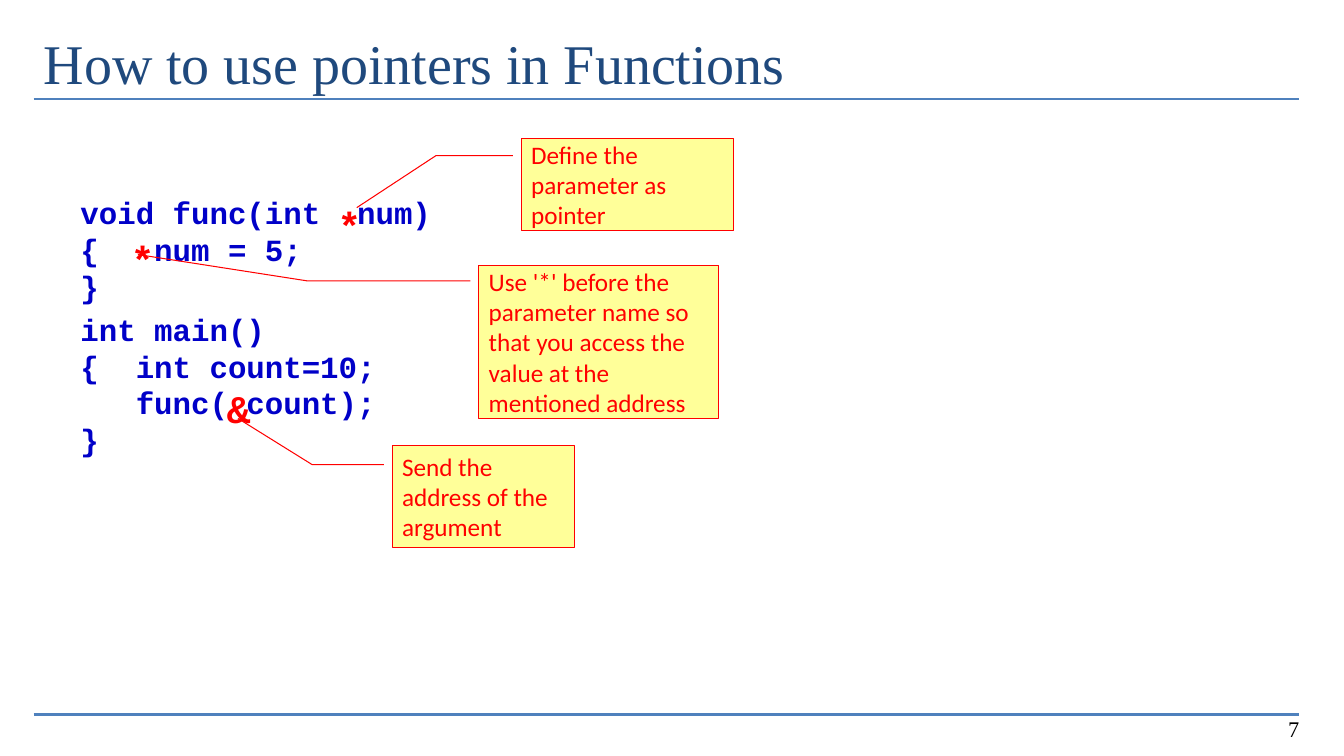
"""Build a slide on passing pointers to C functions."""
import pptx
import pptx.dml.color
import pptx.enum.shapes
import pptx.enum.text
import pptx.oxml
import pptx.oxml.ns
import pptx.util

Pt = pptx.util.Pt
ALIGN = pptx.enum.text.PP_ALIGN
ANCHOR = pptx.enum.text.MSO_ANCHOR
RED = "FF0000"

CODE = [
    "void func(int  num)",
    "{   num = 5;",
    "}",
    "int main()",
    "{  int count=10;",
    "   func( count);",
    "}",
]

CALLOUTS = [
    ("Define the parameter as pointer", (372.24, 98.64, 151.92, 66.24),
     (0.188, -0.039, 0.188, -0.4, 0.75, -0.773), "*", (241.2, 144)),
    ("Use '*' before the parameter name so that you access the value at the mentioned address",
     (342, 189.36, 171.36, 109.44),
     (0.103, -0.035, 0.103, -0.716, -0.069, -1.421), "*", (93.6, 168.4)),
    ("Send the address of the argument", (280.08, 318.24, 130.32, 72.72),
     (0.188, -0.046, 0.188, -0.438, -0.266, -0.845), "&", (162, 274.3)),
]


def rgb(value):
    """Return the colour for a hex string."""
    return pptx.dml.color.RGBColor.from_string(value)


def write(tf, text, *, font, size, color, bold=False, align=ALIGN.LEFT,
          anchor=ANCHOR.TOP, margins=(7.2, 3.6, 7.2, 3.6), pitch=None, gaps=()):
    """Fill a text frame, one paragraph a line; gaps maps lines to space before."""
    tf.word_wrap = True
    tf.auto_size = pptx.enum.text.MSO_AUTO_SIZE.NONE
    tf.vertical_anchor = anchor
    tf.margin_left, tf.margin_top, tf.margin_right, tf.margin_bottom = map(Pt, margins)
    for i, line in enumerate(text.split("\n")):
        p = tf.add_paragraph() if i else tf.paragraphs[0]
        p.alignment = align
        if pitch:
            p.line_spacing = Pt(pitch)
        if i in gaps:
            p.space_before = Pt(gaps[i])
        r = p.add_run()
        r.text = line
        r.font.name, r.font.size, r.font.bold = font, Pt(size), bold
        r.font.color.rgb = rgb(color)


def add_text(shapes, box, text, **fmt):
    """Add a text box."""
    write(shapes.add_textbox(*map(Pt, box)).text_frame, text, **fmt)


def add_rule(shapes, y):
    """Add a horizontal rule across the slide."""
    line = shapes.add_connector(pptx.enum.shapes.MSO_CONNECTOR.STRAIGHT,
                                Pt(24), Pt(y), Pt(928), Pt(y))
    line.line.color.rgb = rgb("4F81BD")
    line.line.width = Pt(1.5)
    sp_pr = line._element.spPr
    sp_pr.append(pptx.oxml.parse_xml(f"<a:effectLst {pptx.oxml.ns.nsdecls('a')}/>"))


def add_callout(shapes, text, box, leader, mark, mark_at):
    """Add a grouped callout and the code symbol that it explains."""
    group = shapes.add_group_shape().shapes
    sp = group.add_shape(pptx.enum.shapes.MSO_SHAPE.LINE_CALLOUT_2, *map(Pt, box))
    for i, value in enumerate(leader):
        sp.adjustments[i] = value
    sp.shadow.inherit = False
    sp.fill.solid()
    sp.fill.fore_color.rgb = rgb("FFFF99")
    sp.line.color.rgb = rgb(RED)
    sp.line.width = Pt(0.75)
    write(sp.text_frame, text, font="Calibri", size=18, color=RED, anchor=ANCHOR.MIDDLE)
    add_text(group, (*mark_at, 16.9, 33.8), mark, font="Courier New", size=28,
             color=RED, bold=True, margins=(0, 0, 0, 0))


def main():
    """Build and save the slide."""
    prs = pptx.Presentation()
    prs.slide_width, prs.slide_height = Pt(960), Pt(540)
    slide = prs.slides.add_slide(prs.slide_layouts[5])
    shapes = slide.shapes

    title = shapes.title
    title.left, title.top, title.width, title.height = map(Pt, (24, 12.24, 904.32, 84.24))
    write(title.text_frame, "How to use pointers in Functions", font="Times New Roman",
          size=40, color="1F497D", margins=(7.2, 7.8, 7.2, 3.6))

    for y in (70.8, 510.4):
        add_rule(shapes, y)
    add_text(shapes, (50.4, 135.3, 290, 205), "\n".join(CODE), font="Courier New",
             size=22, color="0000C8", bold=True, pitch=26.2, gaps={3: 4.8})
    for callout in CALLOUTS:
        add_callout(shapes, *callout)
    add_text(shapes, (711.36, 497.52, 223.92, 36), "7", font="Times New Roman",
             size=16, color="000000", align=ALIGN.RIGHT, anchor=ANCHOR.BOTTOM)
    prs.save("out.pptx")


if __name__ == "__main__":
    main()
